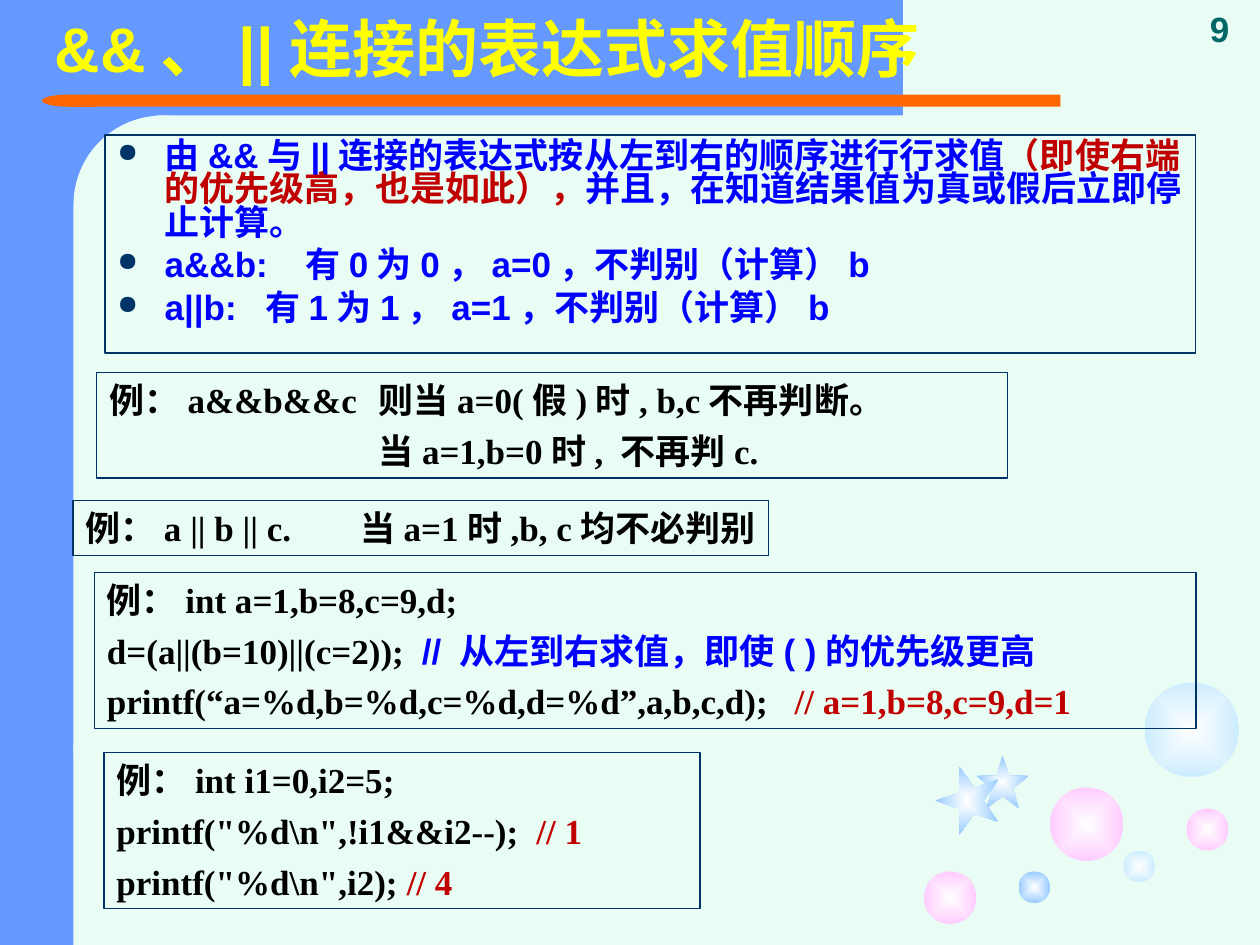
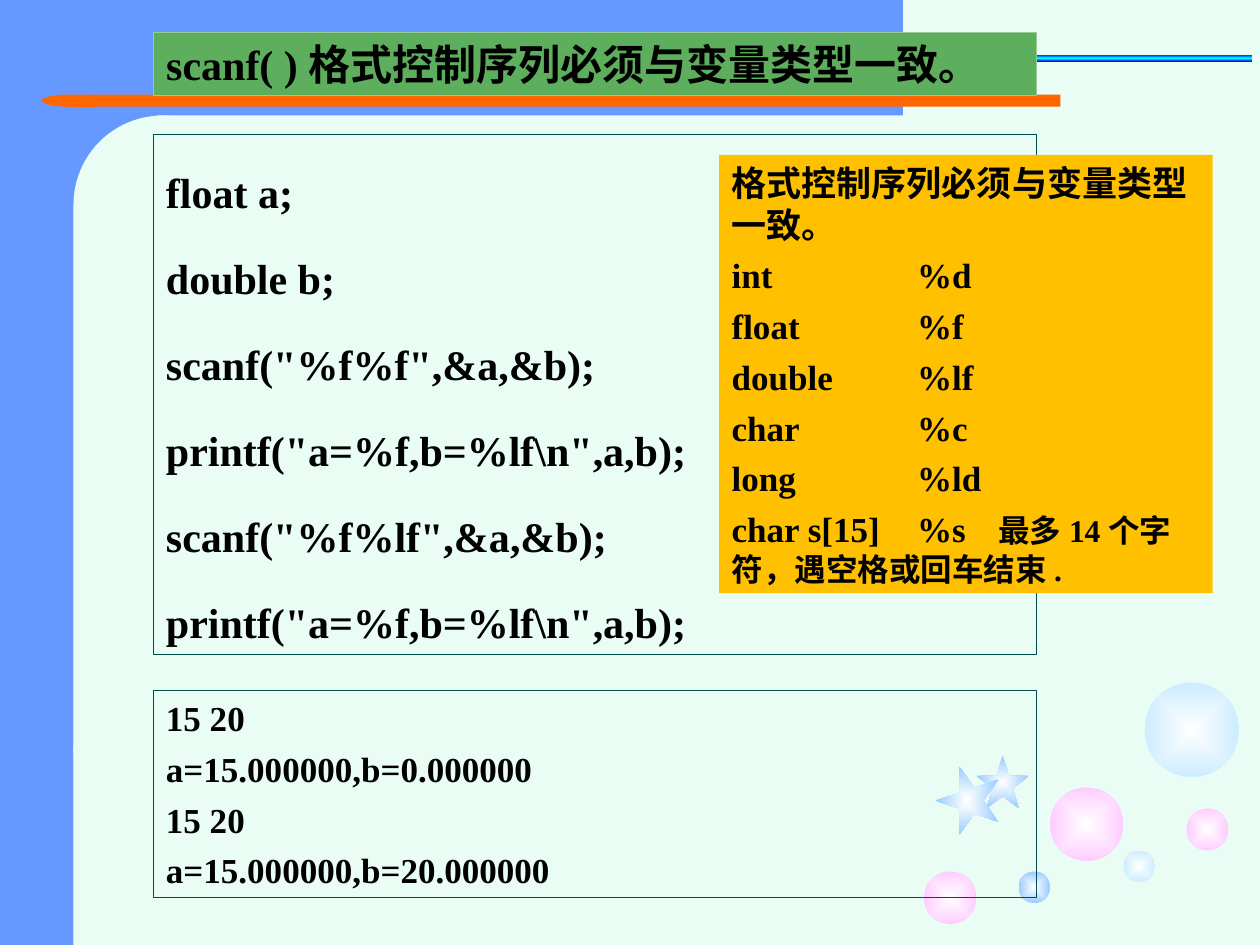
from lxml import etree
from pptx import Presentation
from pptx.dml.color import RGBColor
from pptx.enum.shapes import MSO_SHAPE
from pptx.enum.text import MSO_ANCHOR, MSO_AUTO_SIZE, PP_ALIGN
from pptx.oxml import parse_xml
from pptx.oxml.ns import nsdecls, qn
from pptx.util import Pt

COLORS = {
    "mint": "E9FDF4", "blue": "6699FF", "orange": "FF6600", "yellow": "FFFF00",
    "navy": "003366", "teal": "004D4D", "number": "006666", "green": "5DAE5D",
    "pale_green": "99CC99", "amber": "FFC000", "black": "000000",
    "note": "0000FF", "answer": "C00000", "white": "FFFFFF", "cyan": "00FFFF",
    "pink": "FFCCFF", "ice": "CCECFF", "sky": "99CCFF",
}
SANS, SERIF = "Arial", "Times New Roman"
BUBBLES = [  # left, top, diameter, rim colour
    (600, 450, 42, "pink"), (528, 498, 30, "pink"), (642, 486, 18, "ice"),
    (678, 462, 24, "pink"), (654, 390, 54, "ice"), (582, 498, 18, "sky"),
]
STARS = [(558, 432, 30, 30, 0), (533, 439.5, 39, 36, 270)]
BULLET_INDENT = 27


def rgb(name):
    return RGBColor.from_string(COLORS[name])


def add_plain_shape(slide, kind, left, top, width, height, color):
    shape = slide.shapes.add_shape(kind, Pt(left), Pt(top), Pt(width), Pt(height))
    shape.shadow.inherit = False
    shape.line.fill.background()
    shape.fill.solid()
    shape.fill.fore_color.rgb = rgb(color)
    return shape


def set_gradient(shape, colors, direction):
    """Fill with evenly spaced colours; direction is the XML after the stops."""
    step = 100000 // (len(colors) - 1)
    stops = "".join(
        f'<a:gs pos="{i * step}"><a:srgbClr val="{COLORS[color]}"/></a:gs>'
        for i, color in enumerate(colors))
    gradient = parse_xml(f'<a:gradFill {nsdecls("a")} rotWithShape="1">'
                         f'<a:gsLst>{stops}</a:gsLst>{direction}</a:gradFill>')
    properties = shape.element.spPr
    properties.replace(properties.find(qn("a:solidFill")), gradient)


def add_glow(slide, kind, left, top, width, height, rim):
    glow = add_plain_shape(slide, kind, left, top, width, height, rim)
    set_gradient(glow, ["white", rim],
                 '<a:path path="rect"><a:fillToRect l="50000" t="50000" '
                 'r="50000" b="50000"/></a:path>')
    return glow


def build_backdrop(layout, slide):
    """Draw the shared decoration on a slide, then hand it to the layout."""
    layout.background.fill.solid()
    layout.background.fill.fore_color.rgb = rgb("mint")
    for placeholder in list(layout.placeholders)[1:]:
        layout.shapes.element.remove(placeholder.element)

    rect, rounded = MSO_SHAPE.RECTANGLE, MSO_SHAPE.ROUNDED_RECTANGLE
    side_band = add_plain_shape(slide, rect, 0, 0, 90, 540, "blue")
    top_band = add_plain_shape(slide, rect, 36, 0, 480, 66, "blue")
    page_corner = add_plain_shape(slide, rounded, 42, 66, 102, 414, "mint")
    page_corner.adjustments[0] = 0.5
    rule = add_plain_shape(slide, rect, 54, 54, 552, 7, "orange")
    rule_tip = add_plain_shape(slide, MSO_SHAPE.FLOWCHART_DELAY, 24, 54, 31, 7, "orange")
    rule_tip.rotation = 180
    page_foot = add_plain_shape(slide, rect, 42, 426, 102, 114, "mint")
    decoration = [side_band, top_band, page_corner, rule, rule_tip, page_foot]
    for left, top, diameter, rim in BUBBLES:
        decoration.append(
            add_glow(slide, MSO_SHAPE.OVAL, left, top, diameter, diameter, rim))
    for left, top, width, height, turn in STARS:
        star = add_glow(slide, MSO_SHAPE.STAR_5_POINT, left, top, width, height, "sky")
        star.rotation = turn
        decoration.append(star)
    for part in decoration:
        layout.shapes.element.append(part.element)


def add_bullet(paragraph):
    properties = paragraph._p.get_or_add_pPr()
    properties.set("marL", str(Pt(BULLET_INDENT)))
    properties.set("indent", str(-Pt(BULLET_INDENT)))
    color = etree.SubElement(properties, qn("a:buClr"))
    etree.SubElement(color, qn("a:srgbClr"), val=COLORS["navy"])
    etree.SubElement(properties, qn("a:buSzPct"), val="75000")
    etree.SubElement(properties, qn("a:buChar"), char="●")


def add_tabs(paragraph, positions):
    tabs = etree.SubElement(paragraph._p.get_or_add_pPr(), qn("a:tabLst"))
    for position in positions:
        etree.SubElement(tabs, qn("a:tab"), pos=str(Pt(position)), algn="l")


def style_font(font, size=None, name=None, color=None):
    if size:
        font.size = Pt(size)
    if name:
        font.name = name
    if color:
        font.color.rgb = rgb(color)


def write(frame, lines, size=20, name=SERIF, color="black", gap=5, spacing=None,
          tabs=(), bulleted=False):
    """Fill a frame; a line is a string or a list of strings and (text, style) runs."""
    for index, line in enumerate(lines):
        paragraph = frame.paragraphs[0] if index == 0 else frame.add_paragraph()
        if bulleted:
            add_bullet(paragraph)
        if tabs:
            add_tabs(paragraph, tabs)
        paragraph.alignment = PP_ALIGN.LEFT
        paragraph.space_before = Pt(gap if index else 0)
        if spacing:
            paragraph.line_spacing = spacing
        style_font(paragraph.font, size, name, color)
        paragraph.font.bold = True
        for part in [line] if isinstance(line, str) else line:
            text, style = (part, {}) if isinstance(part, str) else part
            run = paragraph.add_run()
            run.text = text
            style_font(run.font, **style)


def add_text(slide, box, lines, border=None, fill=None, wrap=True, **style):
    text_box = slide.shapes.add_textbox(*map(Pt, box))
    text_box.text_frame.word_wrap = wrap
    if border:
        text_box.line.color.rgb = rgb(border)
        text_box.line.width = Pt(0.75)
    if fill:
        text_box.fill.solid()
        text_box.fill.fore_color.rgb = rgb(fill)
    write(text_box.text_frame, lines, **style)
    return text_box


def place_title(slide, box, text, anchor, **style):
    title = slide.shapes.title
    title.left, title.top, title.width, title.height = map(Pt, box)
    frame = title.text_frame
    frame.word_wrap = True
    frame.auto_size = MSO_AUTO_SIZE.NONE
    frame.vertical_anchor = anchor
    write(frame, [text], **style)
    return title


def build_evaluation_order(slide):
    note = {"color": "note", "name": SANS}
    answer = {"color": "answer"}
    place_title(slide, (24, 0, 606, 60), "&&、||连接的表达式求值顺序", MSO_ANCHOR.MIDDLE,
                size=36, name=SANS, color="yellow", spacing=0.9)
    number = add_text(slide, (674, 0, 46, 32), ["9"], name=SANS, color="number")
    number.text_frame.vertical_anchor = MSO_ANCHOR.BOTTOM
    number.text_frame.paragraphs[0].alignment = PP_ALIGN.CENTER

    add_text(slide, (60, 77.25, 623.25, 124.5), [
        ["由&&与||连接的表达式按从左到右的顺序进行行求值",
         ("（即使右端的优先级高，也是如此），", answer),
         "并且，在知道结果值为真或假后立即停止计算。"],
        "a&&b:\t有0为0，a=0，不判别（计算）b",
        "a||b:\t有1为1，a=1，不判别（计算）b",
    ], border="navy", name=SANS, color="note", spacing=0.8,
        tabs=(84.5, 107.5), bulleted=True)
    add_text(slide, (55.25, 213, 520.5, 60.25), [
        "例：a&&b&&c\t则当a=0(假)时, b,c不再判断。",
        "\t当a=1,b=0时, 不再判c.",
    ], border="navy", tabs=(154,))
    add_text(slide, (41.75, 286, 397.5, 31.5), ["例：a || b || c.\t当a=1时,b, c均不必判别"],
             border="navy", wrap=False, tabs=(157,))
    add_text(slide, (54, 327, 629.5, 89.25), [
        "例：int a=1,b=8,c=9,d;",
        ["d=(a||(b=10)||(c=2));\t", ("// 从左到右求值，即使( )的优先级更高", note)],
        ["printf(“a=%d,b=%d,c=%d,d=%d”,a,b,c,d);\t", ("// a=1,b=8,c=9,d=1", answer)],
    ], border="navy", tabs=(180, 393))
    add_text(slide, (59.5, 430, 340.5, 89.25), [
        "例：int i1=0,i2=5;",
        ['printf("%d\\n",!i1&&i2--);\t', ("// 1", answer)],
        ['printf("%d\\n",i2); ', ("// 4", answer)],
    ], border="navy", tabs=(240,))


def build_scanf_formats(slide):
    column_left, column_width = 87.75, 504.75
    title = place_title(slide, (column_left, 18.5, column_width, 36),
                        "scanf( )格式控制序列必须与变量类型一致。", MSO_ANCHOR.TOP, size=24)
    title.fill.solid()
    title.fill.fore_color.rgb = rgb("green")
    title.line.color.rgb = rgb("pale_green")
    title.line.width = Pt(0.75)
    header_rule = add_plain_shape(slide, MSO_SHAPE.RECTANGLE, 592.5, 31.25, 123, 4, "note")
    set_gradient(header_rule, ["note", "cyan", "note"], '<a:lin ang="5400000" scaled="1"/>')

    print_values = 'printf("a=%f,b=%lf\\n",a,b);'
    add_text(slide, (column_left, 77, column_width, 297), [
        "float a;", "double b;",
        'scanf("%f%f",&a,&b);', print_values,
        'scanf("%f%lf",&a,&b);', print_values,
    ], border="teal", size=24, gap=6, spacing=1.5)
    add_text(slide, (column_left, 394.5, column_width, 118.5), [
        "15 20", "a=15.000000,b=0.000000", "15 20", "a=15.000000,b=20.000000",
    ], border="teal")
    formats = [("int", "%d"), ("float", "%f"), ("double", "%lf"),
               ("char", "%c"), ("long", "%ld")]
    add_text(slide, (411, 88.5, 282, 250.5), [
        "格式控制序列必须与变量类型一致。",
        *[f"{kind}\t{code}" for kind, code in formats],
        ["char s[15]\t%s\t", ("最多14个字符，遇空格或回车结束.", {"size": 18})],
    ], fill="amber", tabs=(106, 152.5))


def main():
    deck = Presentation()
    deck.slide_width, deck.slide_height = Pt(720), Pt(540)
    title_only = deck.slide_layouts[5]
    evaluation_slide = deck.slides.add_slide(title_only)
    build_backdrop(title_only, evaluation_slide)
    build_evaluation_order(evaluation_slide)
    build_scanf_formats(deck.slides.add_slide(title_only))
    deck.save("out.pptx")


if __name__ == "__main__":
    main()
